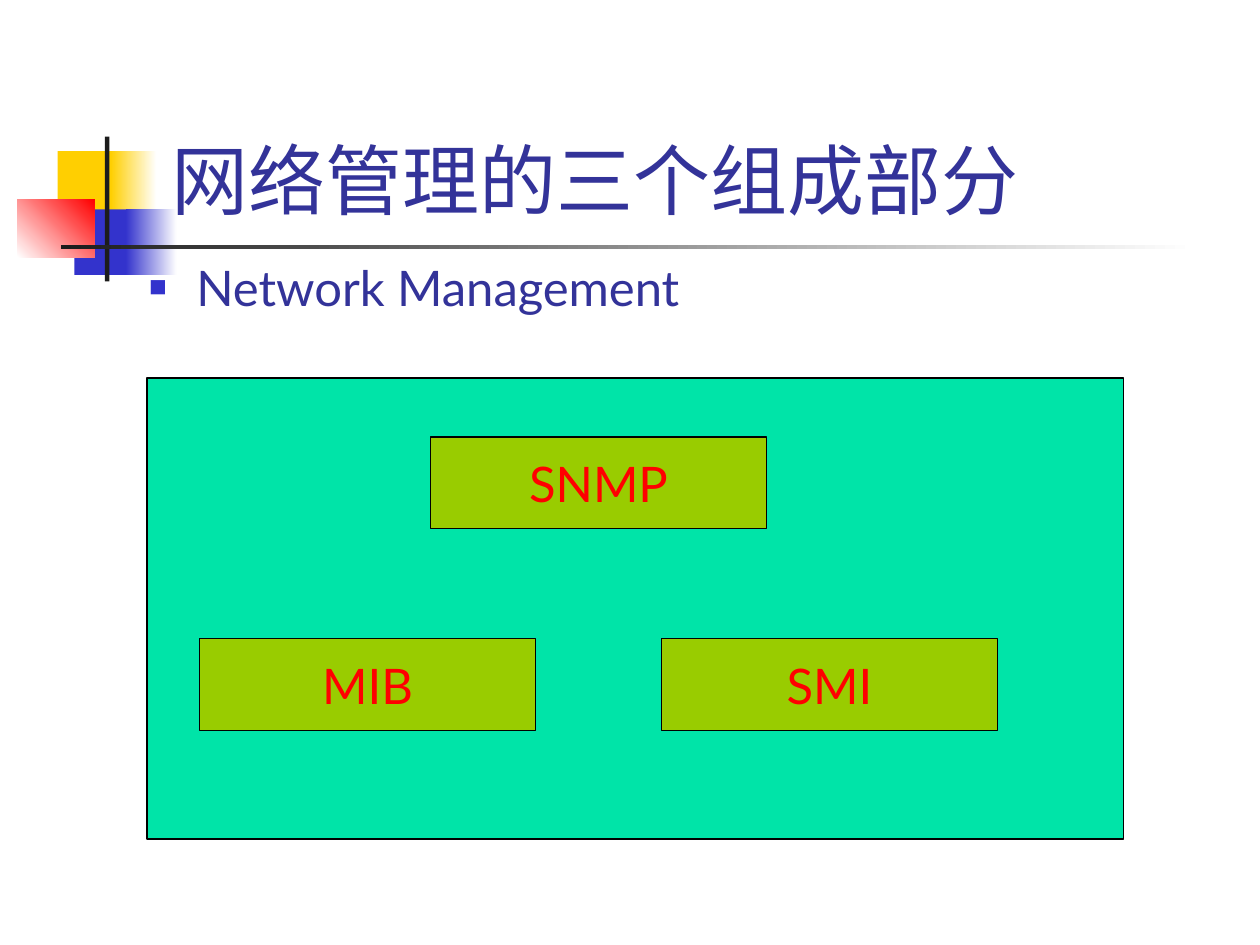
import dataclasses

import lxml.etree
import pptx
import pptx.dml.color
import pptx.enum.shapes
import pptx.enum.text
import pptx.oxml.ns
import pptx.util

Pt = pptx.util.Pt


@dataclasses.dataclass(frozen=True)
class Theme:
    heading: str = "333399"
    white: str = "FFFFFF"
    yellow: str = "FFCF01"
    blue: str = "3333CC"
    red: str = "FF0000"
    dark: str = "1C1C1C"
    outline: str = "000000"
    panel: str = "00E4A8"
    block: str = "99CC00"
    title_font: str = "Arial"
    text_font: str = "Lato"
    title_size: float = 44
    text_size: float = 28


THEME = Theme()


def rgb(value):
    return pptx.dml.color.RGBColor.from_string(value)


def place(shape, left, top, width, height):
    shape.left, shape.top = Pt(left), Pt(top)
    shape.width, shape.height = Pt(width), Pt(height)


def set_font(para, name, size, color):
    para.font.name = name
    para.font.size = Pt(size)
    para.font.color.rgb = rgb(color)


def set_margins(frame, vertical):
    frame.margin_left = frame.margin_right = Pt(7.2)
    frame.margin_top = frame.margin_bottom = Pt(vertical)
    frame.word_wrap = True


def add_rectangle(shapes, bounds, color, fade_to=None, angle=0, outline=None):
    box = shapes.add_shape(
        pptx.enum.shapes.MSO_SHAPE.RECTANGLE, *(Pt(length) for length in bounds)
    )
    box.shadow.inherit = False
    if fade_to:
        box.fill.gradient()
        box.fill.gradient_angle = angle
        for stop, stop_color in zip(box.fill.gradient_stops, (color, fade_to)):
            stop.color.rgb = rgb(stop_color)
    else:
        box.fill.solid()
        box.fill.fore_color.rgb = rgb(color)
    if outline:
        box.line.color.rgb = rgb(outline)
        box.line.width = Pt(0.75)
    else:
        box.line.fill.background()
    return box


def add_ornament(shapes):
    add_rectangle(shapes, (33, 86.4, 34.5, 37.5), THEME.yellow)
    add_rectangle(shapes, (63.4, 86.4, 26, 37.5), THEME.yellow, THEME.white)
    add_rectangle(shapes, (42.5, 119.6, 33, 37.5), THEME.blue)
    add_rectangle(shapes, (72, 119.6, 29, 37.5), THEME.blue, THEME.white)
    add_rectangle(shapes, (10, 113.8, 44, 33.3), THEME.white, THEME.red, 45)
    add_rectangle(shapes, (60, 78, 2.5, 82.8), THEME.dark)
    add_rectangle(shapes, (34.8, 140, 648, 2.5), THEME.dark, THEME.white)


def fill_title(title, text):
    place(title, 90.75, 16.5, 613.5, 115.5)
    frame = title.text_frame
    frame.text = text
    frame.auto_size = pptx.enum.text.MSO_AUTO_SIZE.NONE
    frame.vertical_anchor = pptx.enum.text.MSO_ANCHOR.BOTTOM
    set_margins(frame, 3.6)
    para = frame.paragraphs[0]
    para.alignment = pptx.enum.text.PP_ALIGN.LEFT
    set_font(para, THEME.title_font, THEME.title_size, THEME.heading)


def add_bullet(para, character, color, percent, indent):
    properties = para._p.get_or_add_pPr()
    properties.set("marL", str(Pt(indent)))
    properties.set("indent", str(-Pt(indent)))
    qn = pptx.oxml.ns.qn
    bullet_color = lxml.etree.SubElement(properties, qn("a:buClr"))
    lxml.etree.SubElement(bullet_color, qn("a:srgbClr"), val=color)
    lxml.etree.SubElement(properties, qn("a:buSzPct"), val=str(percent * 1000))
    lxml.etree.SubElement(properties, qn("a:buChar"), char=character)


def fill_body(body, text):
    place(body, 78, 150, 612, 36)
    frame = body.text_frame
    frame.text = text
    frame.auto_size = pptx.enum.text.MSO_AUTO_SIZE.NONE
    frame.vertical_anchor = pptx.enum.text.MSO_ANCHOR.TOP
    set_margins(frame, 3.6)
    para = frame.paragraphs[0]
    para.line_spacing = 0.8
    para.space_before = Pt(7)
    add_bullet(para, "■", THEME.blue, 60, 27)
    set_font(para, THEME.text_font, THEME.text_size, THEME.heading)


def add_block(shapes, text, left, top):
    box = add_rectangle(
        shapes, (left, top, 192, 52.5), THEME.block, outline=THEME.outline
    )
    frame = box.text_frame
    frame.text = text
    frame.auto_size = pptx.enum.text.MSO_AUTO_SIZE.SHAPE_TO_FIT_TEXT
    frame.vertical_anchor = pptx.enum.text.MSO_ANCHOR.TOP
    set_margins(frame, 9.4)
    para = frame.paragraphs[0]
    para.alignment = pptx.enum.text.PP_ALIGN.CENTER
    para.space_before = Pt(17.5)
    set_font(para, THEME.text_font, THEME.text_size, THEME.red)


def add_diagram(page):
    shapes = page.shapes.add_group_shape().shapes
    add_rectangle(shapes, (84, 216, 558, 263.5), THEME.panel, outline=THEME.outline)
    left, right = 114, 378
    upper, lower = 249.75, 365
    add_block(shapes, "SNMP", (left + right) / 2, upper)
    add_block(shapes, "MIB", left, lower)
    add_block(shapes, "SMI", right, lower)


def main():
    deck = pptx.Presentation()
    deck.slide_width, deck.slide_height = Pt(720), Pt(540)
    page = deck.slides.add_slide(deck.slide_layouts[1])
    title, body = page.placeholders
    add_ornament(page.shapes)
    for placeholder in (title, body):
        placeholder.element.getparent().append(placeholder.element)
    fill_title(title, "网络管理的三个组成部分")
    fill_body(body, "Network Management")
    add_diagram(page)
    deck.save("out.pptx")


if __name__ == "__main__":
    main()
